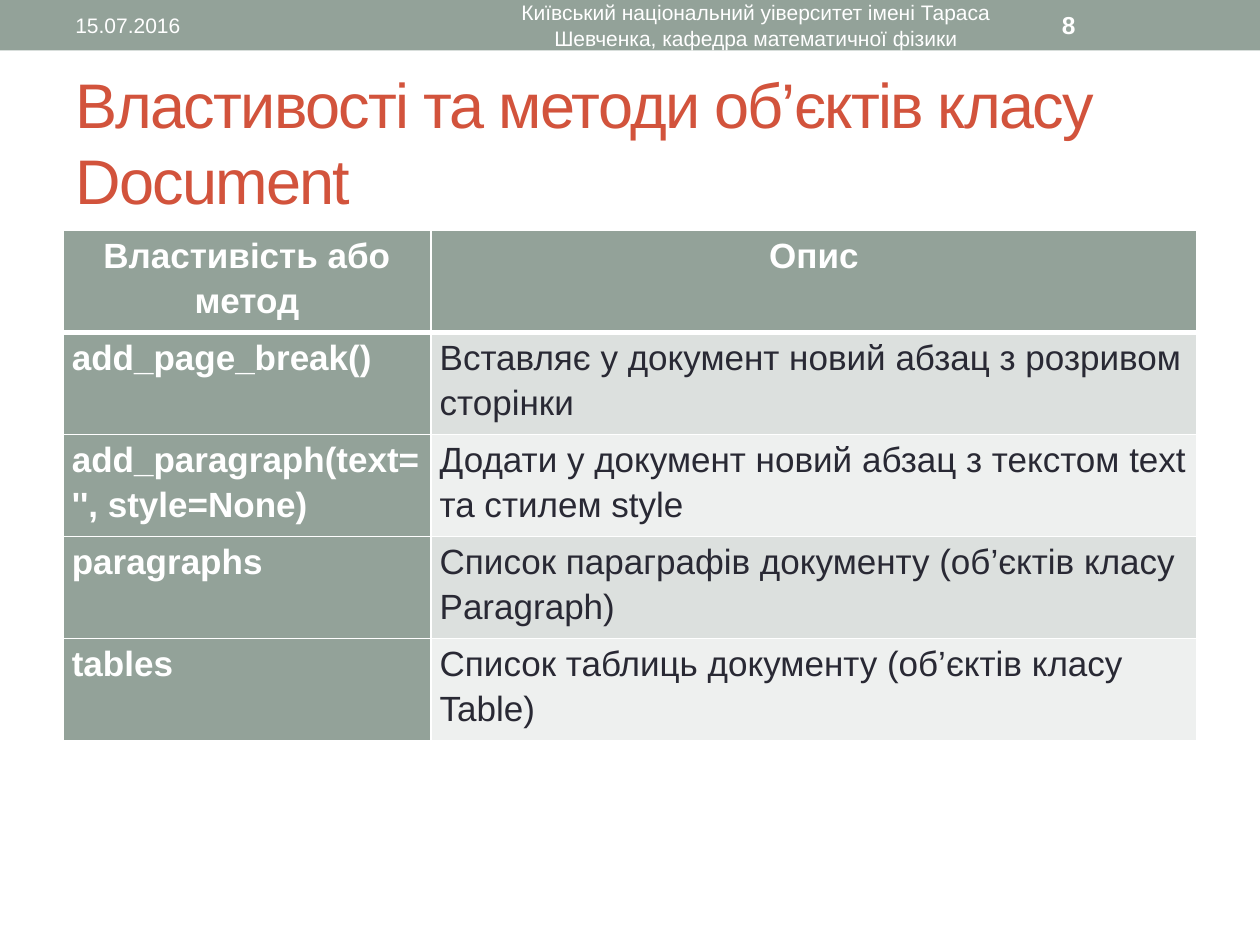
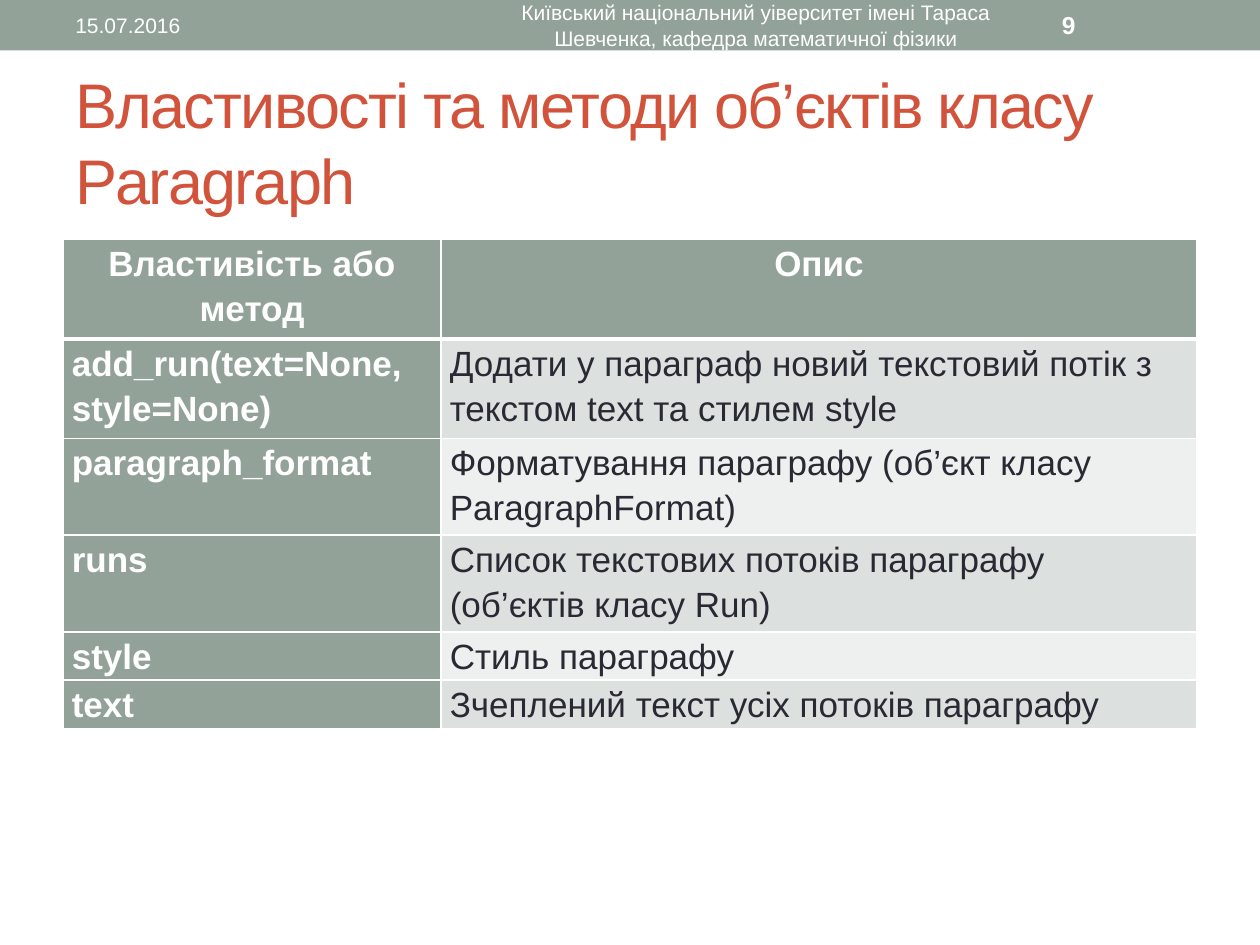
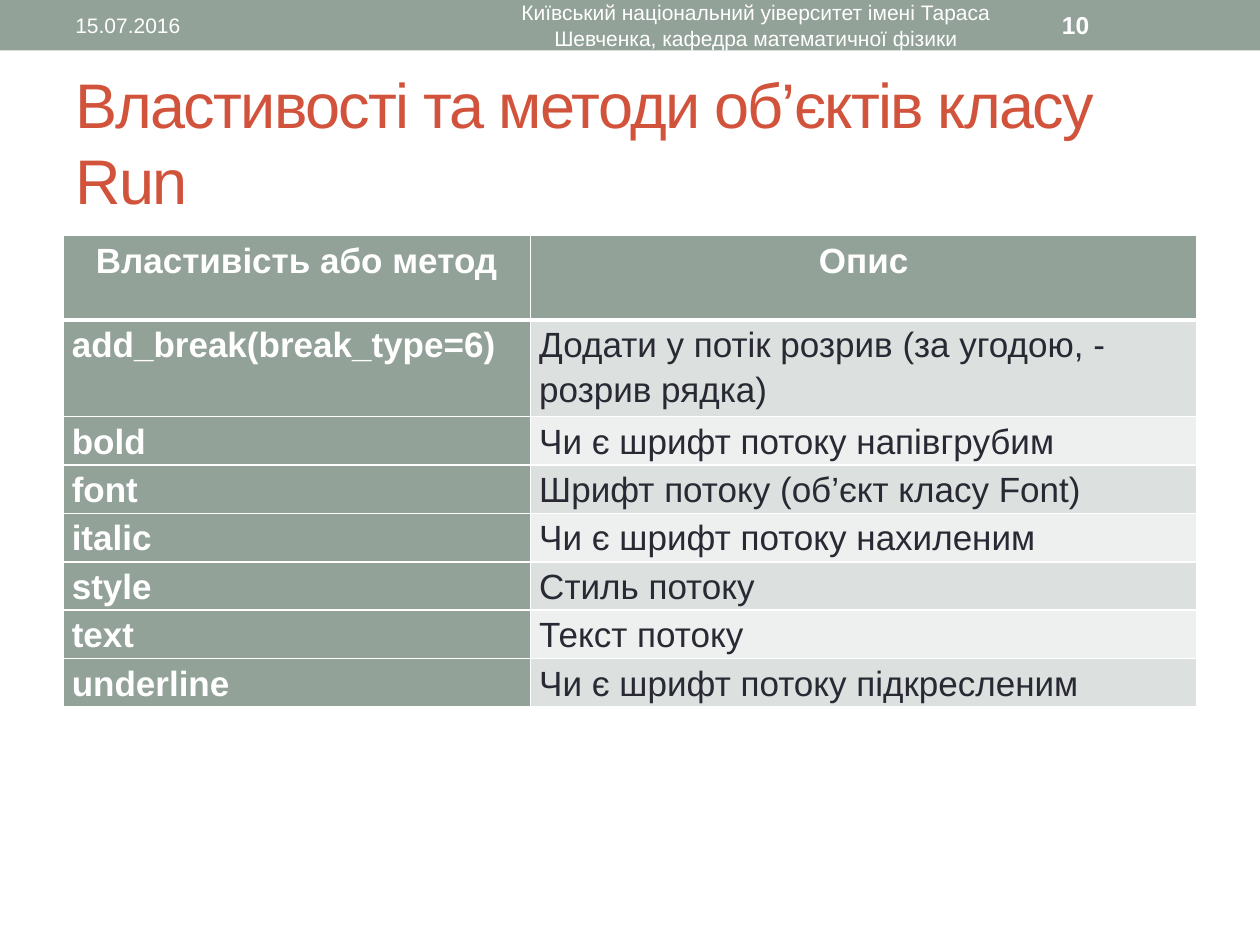
"""Build three slides describing the Document, Paragraph and Run classes."""
import lxml.etree
import pptx
import pptx.dml.color
import pptx.enum.shapes
import pptx.enum.text
import pptx.oxml.ns
import pptx.util

Inches = pptx.util.Inches
Pt = pptx.util.Pt
ALIGN = pptx.enum.text.PP_ALIGN

FONT = "Arial"
COLORS = {
    "band": "93A299",
    "title": "D2533C",
    "text": "292934",
    "white": "FFFFFF",
    "odd_row": "DCE0DE",
    "even_row": "EEF0EF",
}
DATE = "15.07.2016"
DEPARTMENT = "Київський національний уіверситет імені Тараса Шевченка, кафедра математичної фізики"
TITLE = "Властивості та методи об’єктів класу "
HEADER = ("Властивість або метод", "Опис")
FIRST_NUMBER = 8
TABLE_LEFT = 0.5
TABLE_WIDTH = 9

CLASSES = [
    {
        "name": "Document",
        "top": 1.83,
        "name_width": 2.92,
        "row_heights": [0.81] * 5,
        "members": [
            ("add_page_break()", "Вставляє у документ новий абзац з розривом сторінки"),
            ("add_paragraph(text='', style=None)", "Додати у документ новий абзац з текстом text та стилем style"),
            ("paragraphs", "Список параграфів документу (об’єктів класу Paragraph)"),
            ("tables", "Список таблиць документу (об’єктів класу Table)"),
        ],
    },
    {
        "name": "Paragraph",
        "top": 1.9,
        "name_width": 3,
        "row_heights": [0.79] * 2 + [0.38] * 4,
        "members": [
            ("add_run(text=None, style=None)", "Додати у параграф новий текстовий потік з текстом text та стилем style"),
            ("paragraph_format", "Форматування параграфу (об’єкт класу ParagraphFormat)"),
            ("runs", "Список текстових потоків параграфу (об’єктів класу Run)"),
            ("style", "Стиль параграфу"),
            ("text", "Зчеплений текст усіх потоків параграфу"),
        ],
    },
    {
        "name": "Run",
        "top": 1.87,
        "name_width": 3.71,
        "row_heights": [0.67] * 2 + [0.33] * 6,
        "members": [
            ("add_break(break_type=6)", "Додати у потік розрив (за угодою, - розрив рядка)"),
            ("bold", "Чи є шрифт потоку напівгрубим"),
            ("font", "Шрифт потоку (об’єкт класу Font)"),
            ("italic", "Чи є шрифт потоку нахиленим"),
            ("style", "Стиль потоку"),
            ("text", "Текст потоку"),
            ("underline", "Чи є шрифт потоку підкресленим"),
        ],
    },
]


def rgb(name):
    return pptx.dml.color.RGBColor.from_string(COLORS[name])


def write(paragraph, text, size, color, bold=False, align=ALIGN.LEFT):
    paragraph.alignment = align
    run = paragraph.add_run()
    run.text = text
    run.font.name = FONT
    run.font.size = Pt(size)
    run.font.bold = bold
    run.font.color.rgb = rgb(color)
    return run


def add_text(slide, box, text, size, color, **style):
    frame = slide.shapes.add_textbox(*map(Inches, box)).text_frame
    frame.word_wrap = True
    frame.vertical_anchor = pptx.enum.text.MSO_ANCHOR.MIDDLE
    return write(frame.paragraphs[0], text, size, color, **style)


def add_band(slide, number):
    band = slide.shapes.add_shape(
        pptx.enum.shapes.MSO_SHAPE.RECTANGLE, 0, 0, Inches(10), Inches(0.4))
    band.shadow.inherit = False
    band.fill.solid()
    band.fill.fore_color.rgb = rgb("band")
    band.line.fill.background()
    add_text(slide, (0.5, 0.02, 3.17, 0.36), DATE, 12, "white")
    add_text(slide, (3.75, 0.02, 4.5, 0.36), DEPARTMENT, 12, "white", align=ALIGN.CENTER)
    add_text(slide, (8.33, 0.02, 1.17, 0.36), str(number), 14, "white", bold=True)


def add_title(slide, text):
    run = add_text(slide, (0.5, 0.58, 9, 1.08), text, 36, "title")
    run.font._element.set("spc", "-100")


def set_borders(cell, widths):
    qn = pptx.oxml.ns.qn
    properties = cell._tc.get_or_add_tcPr()
    for index, (side, width) in enumerate(widths.items()):
        line = lxml.etree.Element(qn(f"a:ln{side}"), w=str(Pt(width)))
        fill = lxml.etree.SubElement(line, qn("a:solidFill"))
        lxml.etree.SubElement(fill, qn("a:srgbClr"), val=COLORS["white"])
        properties.insert(index, line)


def fill_cell(cell, text, row, column):
    is_header = row == 0
    is_label = is_header or column == 0
    cell.margin_left = cell.margin_right = Inches(0.07)
    cell.margin_top = cell.margin_bottom = 0
    cell.fill.solid()
    cell.fill.fore_color.rgb = rgb("band" if is_label else "odd_row" if row % 2 else "even_row")
    set_borders(cell, {"L": 1, "R": 1, "T": 3 if row == 1 else 1, "B": 3 if is_header else 1})
    paragraph = cell.text_frame.paragraphs[0]
    paragraph.line_spacing = 1.15
    write(paragraph, text, 20, "white" if is_label else "text", bold=is_label,
          align=ALIGN.CENTER if is_header else ALIGN.LEFT)


def add_member_table(slide, entry):
    rows = [HEADER, *entry["members"]]
    heights = entry["row_heights"]
    table = slide.shapes.add_table(
        len(rows), len(HEADER), Inches(TABLE_LEFT), Inches(entry["top"]),
        Inches(TABLE_WIDTH), Inches(sum(heights))).table
    table.columns[0].width = Inches(entry["name_width"])
    table.columns[1].width = Inches(TABLE_WIDTH - entry["name_width"])
    for row, (texts, height) in enumerate(zip(rows, heights)):
        table.rows[row].height = Inches(height)
        for column, text in enumerate(texts):
            fill_cell(table.cell(row, column), text, row, column)


def main():
    presentation = pptx.Presentation()
    presentation.slide_width = Inches(10)
    presentation.slide_height = Inches(7.5)
    for number, entry in enumerate(CLASSES, FIRST_NUMBER):
        slide = presentation.slides.add_slide(presentation.slide_layouts[6])
        add_band(slide, number)
        add_title(slide, TITLE + entry["name"])
        add_member_table(slide, entry)
    presentation.save("out.pptx")


if __name__ == "__main__":
    main()
